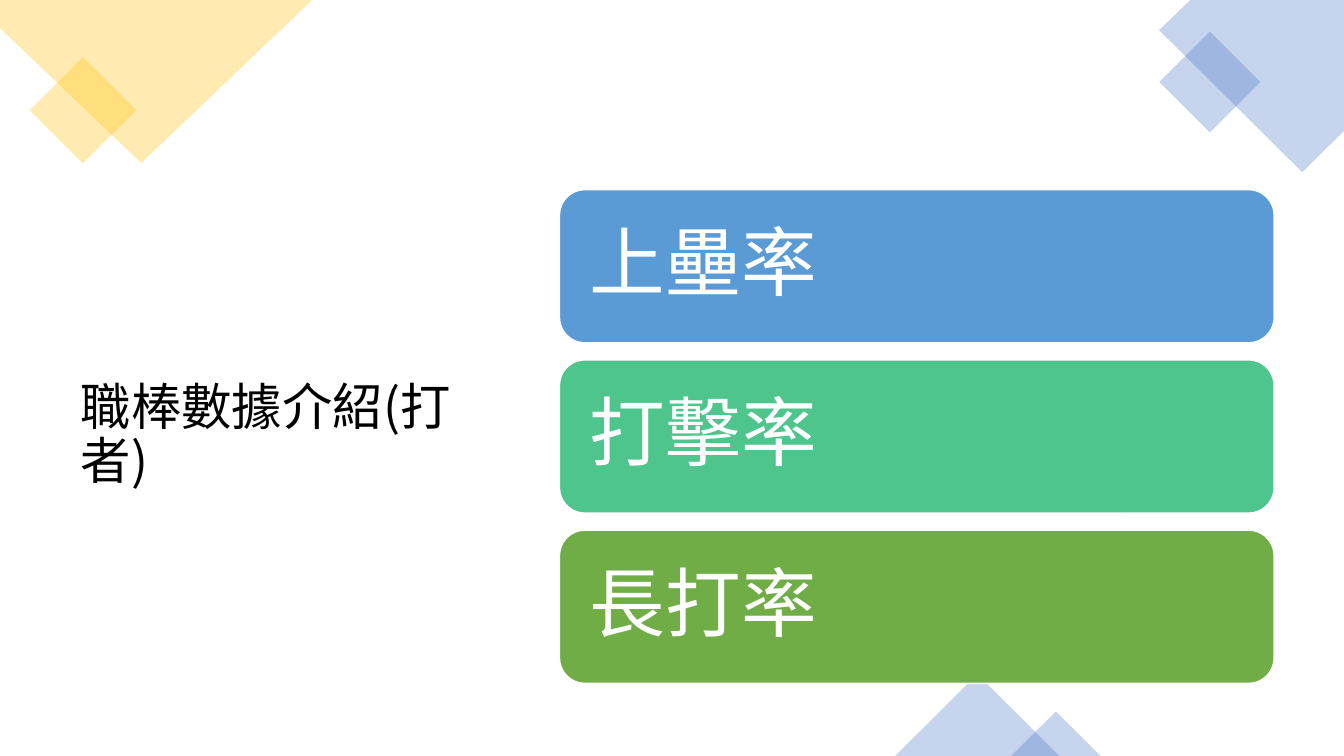
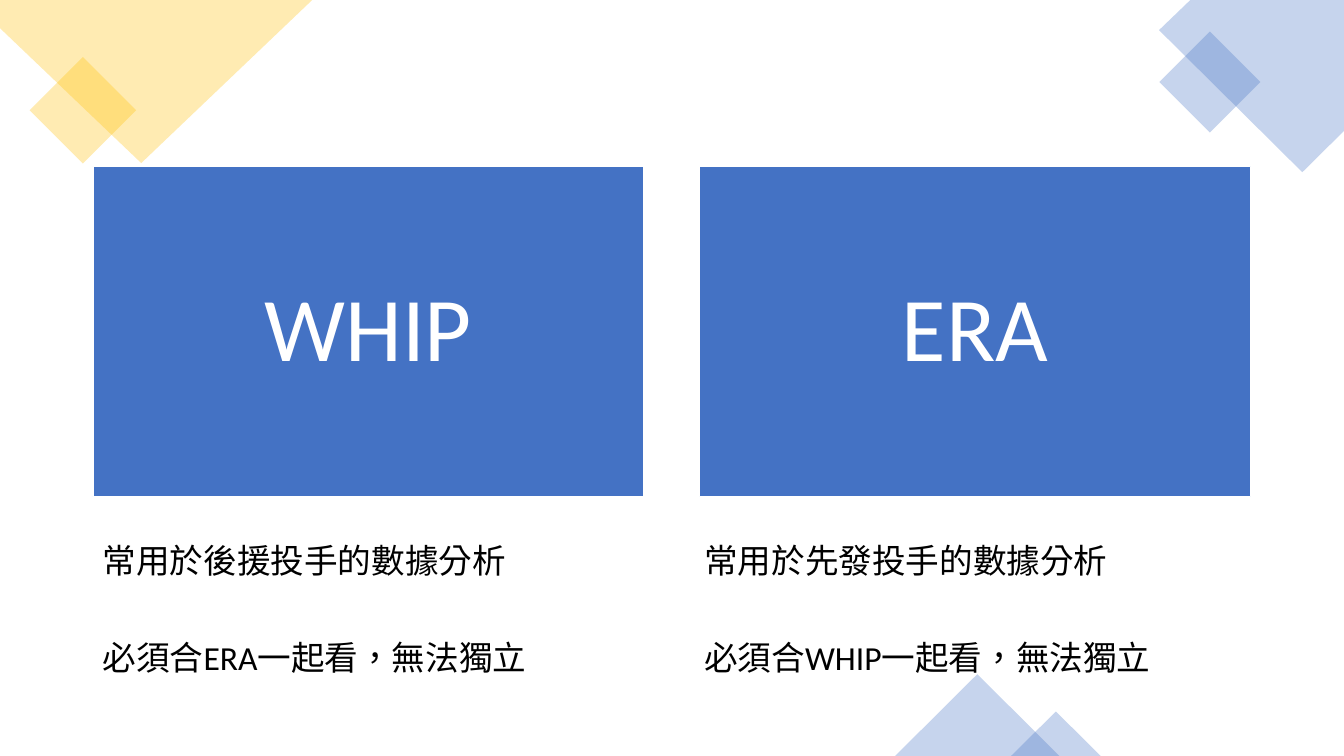
from lxml.etree import SubElement
from pptx import Presentation
from pptx.dml.color import RGBColor
from pptx.enum.shapes import MSO_SHAPE
from pptx.enum.text import MSO_ANCHOR, MSO_AUTO_SIZE, PP_ALIGN
from pptx.oxml.ns import qn
from pptx.util import Cm, Pt

HEX = {
    "gold": "FFC000", "blue": "4472C4", "sky": "5B9BD5", "mint": "4DC58D",
    "green": "70AD47", "white": "FFFFFF", "black": "000000",
}
LATIN, HAN = "Calibri", "Noto Sans CJK SC"
WIDE, HIGH = 33.87, 19.05


def tint(name):
    return RGBColor.from_string(HEX[name])


def paint(shape, color, alpha=None, edge=None):
    shape.shadow.inherit = False
    shape.fill.solid()
    shape.fill.fore_color.rgb = tint(color)
    if alpha:
        fill = shape._element.spPr.find(qn("a:solidFill"))
        SubElement(fill[0], qn("a:alpha"), val=str(alpha * 1000))
    if edge:
        shape.line.color.rgb = tint(edge)
        shape.line.width = Pt(1)
    else:
        shape.line.fill.background()


def write(shape, text, size, color, font=LATIN, align=PP_ALIGN.LEFT,
          anchor=MSO_ANCHOR.MIDDLE, pad=None, lead=0.9):
    """Put one styled run into the shape's text frame."""
    frame = shape.text_frame
    frame.word_wrap = True
    frame.auto_size = MSO_AUTO_SIZE.NONE
    frame.vertical_anchor = anchor
    if pad is not None:
        frame.margin_left = frame.margin_right = Cm(pad)
        frame.margin_top = frame.margin_bottom = Cm(pad)
    para = frame.paragraphs[0]
    para.alignment = align
    para.line_spacing = lead
    run = para.add_run()
    run.text = text
    run.font.size = Pt(size)
    run.font.name = font
    run.font.color.rgb = tint(color)
    props = run._r.get_or_add_rPr()
    props.set("lang", "zh-TW")
    SubElement(props, qn("a:ea"), typeface=HAN)


def block(slide, kind, box, color, **look):
    shape = slide.shapes.add_shape(kind, *map(Cm, box))
    paint(shape, color, **look)
    return shape


def facet(slide, points, color):
    """Draw a translucent polygon through points given in cm."""
    first, *rest = [(Cm(x), Cm(y)) for x, y in points]
    pen = slide.shapes.build_freeform(*first)
    pen.add_line_segments(rest, close=True)
    paint(pen.convert_to_shape(), color, alpha=30)


def gem(slide, left, top, side, color):
    """Draw a translucent square turned onto its corner."""
    shape = block(slide, MSO_SHAPE.RECTANGLE, (left, top, side, side),
                  color, alpha=30)
    shape.rotation = 45


def decor(slide):
    gem(slide, 1.14, 1.83, 1.9, "gold")
    facet(slide, [(0, 0), (7.87, 0), (3.56, 4.11), (0, 0.71)], "gold")
    facet(slide, [(30, 0), (WIDE, 0), (WIDE, 3.3), (32.82, 4.34),
                  (29.21, 0.76)], "blue")
    gem(slide, 29.59, 1.17, 1.8, "blue")
    for left, wide, tall in [(22.56, 4.14, 2.06), (25.48, 2.26, 1.12)]:
        box = left, HIGH - tall, wide, tall
        block(slide, MSO_SHAPE.ISOSCELES_TRIANGLE, box, "blue", alpha=30)


def title(slide, text, box):
    shape = slide.shapes.title
    shape.left, shape.top, shape.width, shape.height = map(Cm, box)
    write(shape, text, 36, "black", font=HAN)


def cards(slide, items, box, gap):
    """Stack rounded cards evenly down the box."""
    left, top, wide, tall = box
    each = (tall - gap * (len(items) - 1)) / len(items)
    for i, (text, color) in enumerate(items):
        spot = left, top + i * (each + gap), wide, each
        card = block(slide, MSO_SHAPE.ROUNDED_RECTANGLE, spot, color,
                     edge="white")
        write(card, text, 54, "white", pad=0.58)


def tiles(slide, names, box, gap):
    """Set equal tiles side by side across the box."""
    left, top, wide, tall = box
    each = (wide - gap * (len(names) - 1)) / len(names)
    for i, name in enumerate(names):
        spot = left + i * (each + gap), top, each, tall
        tile = block(slide, MSO_SHAPE.RECTANGLE, spot, "blue", edge="white")
        write(tile, name, 65, "white", align=PP_ALIGN.CENTER, pad=0.69)


def notes(slide, lines, box, step):
    left, top, wide, tall = box
    for i, line in enumerate(lines):
        spot = left, top + i * step, wide, tall
        label = slide.shapes.add_textbox(*map(Cm, spot))
        write(label, line, 24, "black", anchor=MSO_ANCHOR.TOP, lead=1.0)


def batting(deck):
    slide = deck.slides.add_slide(deck.slide_layouts[5])
    title(slide, "職棒數據介紹(打者)", (1.78, 4.72, 11, 12.55))
    decor(slide)
    items = [("上壘率", "sky"), ("打擊率", "mint"), ("長打率", "green")]
    cards(slide, items, (14.1, 4.78, 18.01, 12.44), 0.43)


def pitching(deck):
    slide = deck.slides.add_slide(deck.slide_layouts[6])
    decor(slide)
    tiles(slide, ["WHIP", "ERA"], (2.34, 4.19, 29.18, 8.33), 1.4)
    columns = [
        (2.34, ["常用於後援投手的數據分析", "必須合ERA一起看，無法獨立"]),
        (17.5, ["常用於先發投手的數據分析", "必須合WHIP一起看，無法獨立"]),
    ]
    for left, lines in columns:
        notes(slide, lines, (left, 13.49, 13.3, 1.27), 2.44)


def main():
    deck = Presentation()
    deck.slide_width, deck.slide_height = Cm(WIDE), Cm(HIGH)
    batting(deck)
    pitching(deck)
    deck.save("out.pptx")


if __name__ == "__main__":
    main()
